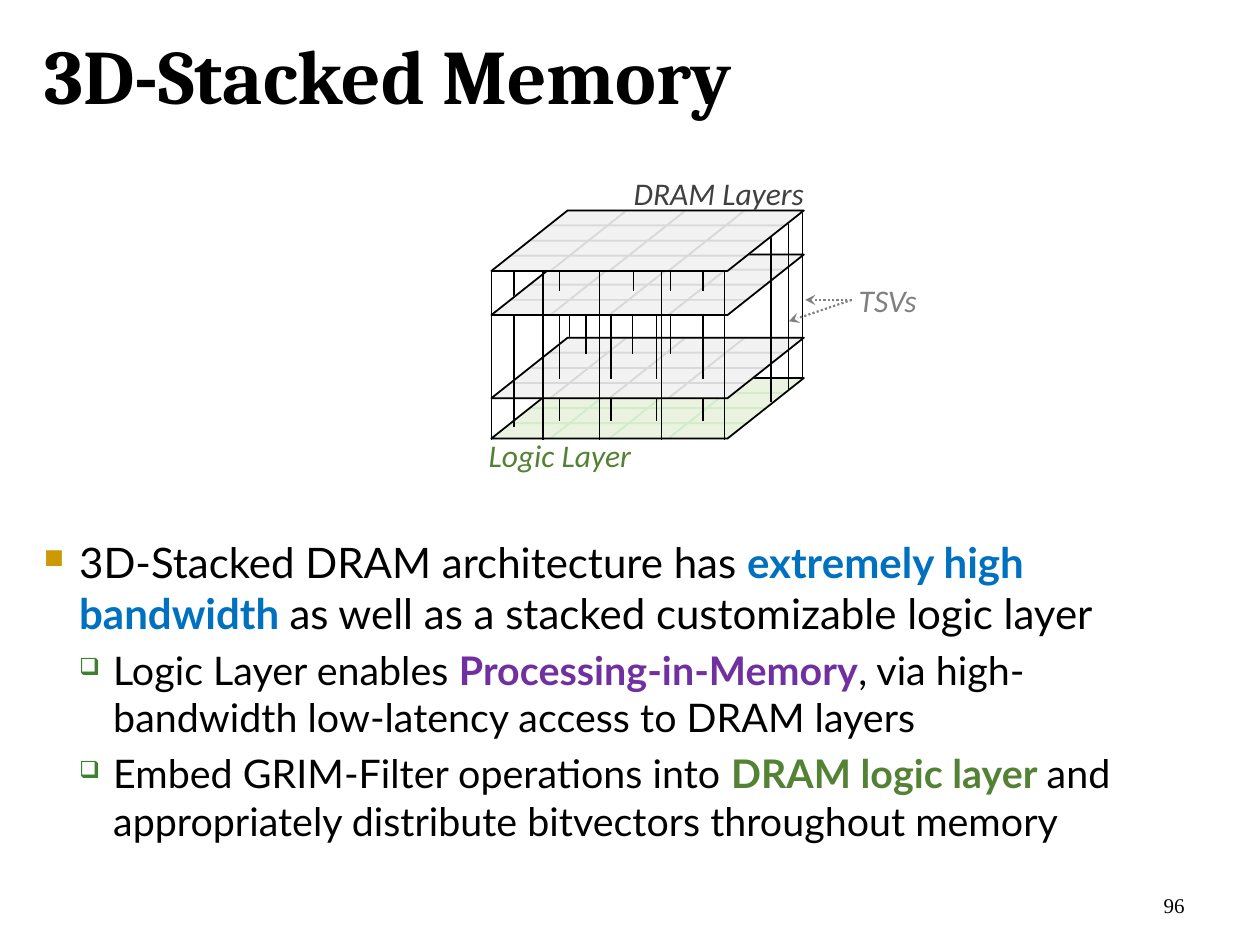
from lxml import etree
from pptx import Presentation
from pptx import util as u
from pptx.dml.color import RGBColor
from pptx.enum import dml, shapes, text
from pptx.oxml.ns import qn

COLORS = {
    "ink": "000000", "blue": "0070C0", "purple": "7030A0", "green": "538234",
    "gold": "CC9900", "marker": "3B812F", "label": "404040", "gray": "808080",
    "dram": "F2F2F2", "dram_edge": "D9D9D9", "logic": "EBF3E0", "logic_edge": "D0ECCB",
}
COLUMNS, ROWS = 1000, 750
WIDTH, HEIGHT = u.Inches(10), u.Inches(7.5)
SLANT = 1.261
CELLS = 4
POST = 133

BULLETS = [
    (0, [("3D-Stacked DRAM architecture has ", "ink"),
         ("extremely high bandwidth ", "blue"),
         ("as well as a stacked customizable logic layer", "ink")]),
    (1, [("Logic Layer enables ", "ink"),
         ("Processing-in-Memory", "purple"),
         (", via high-bandwidth low-latency access to DRAM layers", "ink")]),
    (1, [("Embed GRIM-Filter operations into ", "ink"),
         ("DRAM logic layer ", "green"),
         ("and appropriately distribute bitvectors throughout memory", "ink")]),
]
LEVELS = [
    {"size": 24, "margin": 28, "hang": 28, "mark": "■", "color": "gold", "scale": 65},
    {"size": 22.5, "margin": 55, "hang": 27, "mark": "❑", "color": "marker", "scale": 60},
]


def across(columns):
    return round(WIDTH * columns / COLUMNS)


def down(rows):
    return round(HEIGHT * rows / ROWS)


def place(box):
    left, top, width, height = box
    return across(left), down(top), across(width), down(height)


def color(name):
    return RGBColor.from_string(COLORS[name])


def style(span, font, size, ink, bold=False, italic=False):
    span.font.name, span.font.size = font, u.Pt(size)
    span.font.bold, span.font.italic = bold, italic
    span.font.color.rgb = color(ink)


def add_label(page, box, words, font, size, ink, align, italic=False,
              anchor=text.MSO_ANCHOR.TOP, wrap=True, side=0.1):
    frame = page.shapes.add_textbox(*place(box)).text_frame
    frame.word_wrap, frame.vertical_anchor = wrap, anchor
    frame.margin_left = frame.margin_right = u.Inches(side)
    frame.text = words
    frame.paragraphs[0].alignment = align
    style(frame.paragraphs[0].runs[0], font, size, ink, italic=italic)


def add_title(page, box):
    title = page.shapes.title
    title.left, title.top, title.width, title.height = place(box)
    frame = title.text_frame
    frame.text = "3D-Stacked Memory"
    frame.vertical_anchor = text.MSO_ANCHOR.TOP
    frame.paragraphs[0].alignment = text.PP_ALIGN.LEFT
    style(frame.paragraphs[0].runs[0], "Cambria", 44, "ink", bold=True)


def add_marker(para, level):
    properties = para._p.get_or_add_pPr()
    properties.set("marL", str(across(level["margin"])))
    properties.set("indent", str(-across(level["hang"])))
    tint = etree.SubElement(properties, qn("a:buClr"))
    etree.SubElement(tint, qn("a:srgbClr"), val=COLORS[level["color"]])
    etree.SubElement(properties, qn("a:buSzPct"), val=str(level["scale"] * 1000))
    etree.SubElement(properties, qn("a:buChar"), char=level["mark"])


def add_bullets(page, box):
    frame = page.shapes.add_textbox(*place(box)).text_frame
    frame.word_wrap = True
    for index, (depth, spans) in enumerate(BULLETS):
        para = frame.add_paragraph() if index else frame.paragraphs[0]
        level = LEVELS[depth]
        para.level = depth
        add_marker(para, level)
        para.space_before = u.Pt(5 if index else 0)
        for words, ink in spans:
            span = para.add_run()
            span.text = words
            style(span, "Lato", level["size"], ink, bold=ink != "ink")


def add_line(page, start, end, ink, weight):
    line = page.shapes.add_connector(
        shapes.MSO_CONNECTOR.STRAIGHT,
        across(start[0]), down(start[1]), across(end[0]), down(end[1]))
    line.line.color.rgb, line.line.width = color(ink), u.Pt(weight)
    etree.SubElement(line._element.spPr, qn("a:effectLst"))
    return line


def add_arrow(page, start, end):
    arrow = add_line(page, start, end, "gray", 1.25)
    arrow.line.dash_style = dml.MSO_LINE.ROUND_DOT
    etree.SubElement(arrow.line._get_or_add_ln(), qn("a:tailEnd"), type="stealth")


def add_slab(group, box, edge, fill=None):
    slab = group.shapes.add_shape(shapes.MSO_SHAPE.PARALLELOGRAM, *place(box))
    slab.adjustments[0] = SLANT
    slab.shadow.inherit = False
    slab.line.color.rgb, slab.line.width = color(edge), u.Pt(1)
    if fill:
        slab.fill.solid()
        slab.fill.fore_color.rgb = color(fill)
    else:
        slab.fill.background()


def add_layer(page, box, fill):
    left, top, width, height = box
    group = page.shapes.add_group_shape()
    tile_width, tile_height = width / CELLS, height / CELLS
    shift = tile_height * SLANT
    step = (width - CELLS * shift) / CELLS
    for column in range(CELLS):
        for row in range(CELLS):
            tile = (left + column * step + (CELLS - 1 - row) * shift,
                    top + row * tile_height, tile_width, tile_height)
            add_slab(group, tile, fill + "_edge", fill)
    add_slab(group, box, "ink")


def add_posts(page, box, posts):
    left, top = box[:2]
    for column, first, last in posts:
        add_line(page, (left + column, top + first), (left + column, top + last), "ink", 0.75)


def add_memory(page, box):
    left, top, width, height = box

    def layer(row, fill="dram"):
        add_layer(page, (left, top + row, width, height), fill)

    def full(*starts):
        return [(column, row, row + POST) for column, row in starts]

    layer(133, "logic")
    add_posts(page, box, [(75, 50, 65)] + full((168, 0), (62, 1)))
    layer(101)
    add_posts(page, box, full((131, 0), (18, 39), (95, 0)))
    layer(35)
    add_posts(page, box, full(*((column, 49) for column in (0, 41, 86, 135, 185)),
                              (222, 19), (236, 9), (247, 0)))
    add_posts(page, box, [(column, 82, 134) for column in (54, 95, 131, 168)])
    add_posts(page, box, [(column, 82, 114) for column in (75, 112, 142)])
    add_posts(page, box, [(column, 150, 167) for column in (54, 95, 131, 168)])
    add_posts(page, box, [(column, 49, 64) for column in (54, 113, 142, 168)])
    add_label(page, (left + 88, top - 34, 170, 40), "DRAM Layers", "Calibri", 18,
              "label", text.PP_ALIGN.RIGHT, italic=True)
    add_label(page, (left - 12, top + 174, 162, 40), "Logic Layer", "Calibri", 18,
              "green", text.PP_ALIGN.LEFT, italic=True)
    add_label(page, (left + 286, top + 51, 57, 40), "TSVs", "Calibri", 18,
              "gray", text.PP_ALIGN.CENTER, italic=True, wrap=False, side=0)
    source = (left + 286, top + 71)
    for target in ((left + 249, top + 71), (left + 236, top + 88)):
        add_arrow(page, source, target)
    layer(0)


def main():
    deck = Presentation()
    deck.slide_width, deck.slide_height = WIDTH, HEIGHT
    page = deck.slides.add_slide(deck.slide_layouts[5])
    add_title(page, (25, 17, 942, 117))
    add_bullets(page, (25, 421, 942, 263))
    add_label(page, (717, 683, 233, 50), "96", "Times New Roman", 12, "ink",
              text.PP_ALIGN.RIGHT, anchor=text.MSO_ANCHOR.BOTTOM)
    add_memory(page, (390, 167, 248, 48))
    deck.save("out.pptx")


if __name__ == "__main__":
    main()
